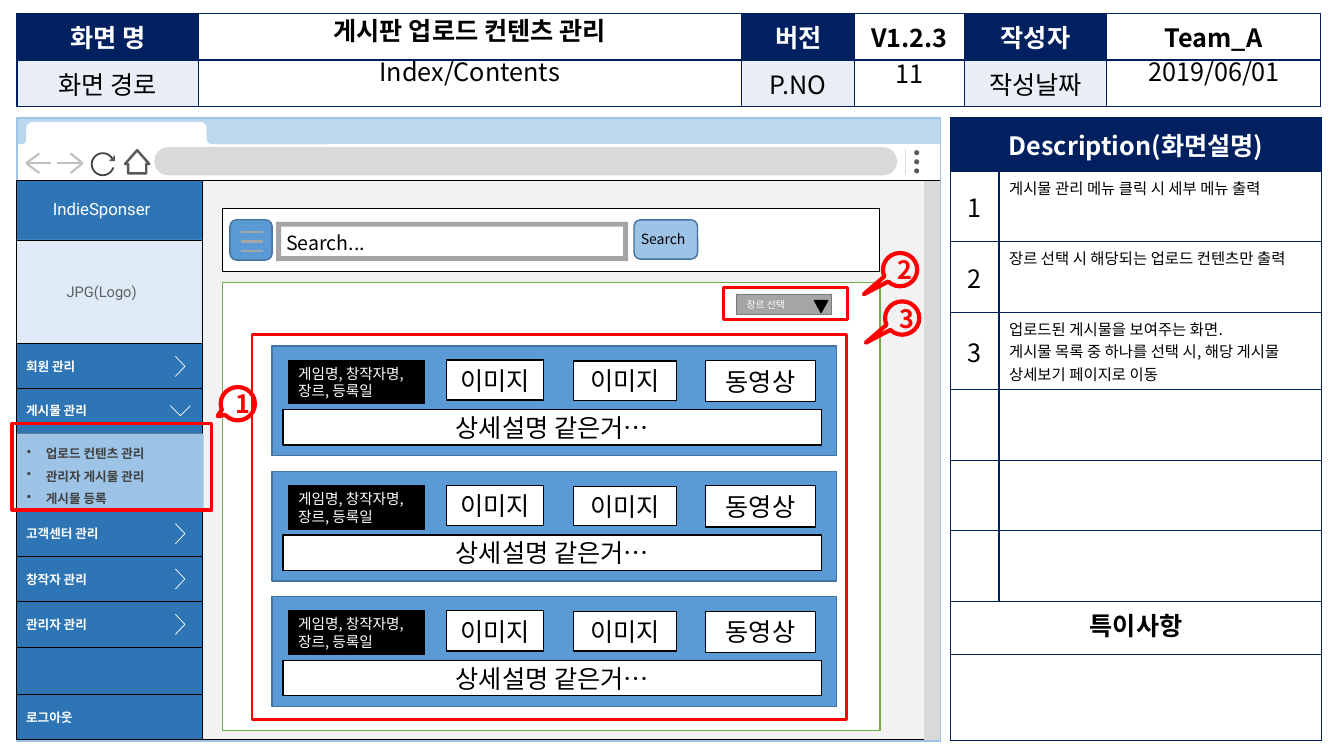
from dataclasses import dataclass, replace

from lxml import etree
from pptx import Presentation
from pptx.dml.color import RGBColor
from pptx.enum.shapes import MSO_CONNECTOR, MSO_SHAPE
from pptx.enum.text import MSO_ANCHOR, PP_ALIGN
from pptx.oxml.ns import qn
from pptx.shapes.autoshape import Shape
from pptx.slide import Slide
from pptx.table import Table, _Cell
from pptx.text.text import TextFrame
from pptx.util import Pt

LEFT, CENTER = PP_ALIGN.LEFT, PP_ALIGN.CENTER
TOP, MIDDLE = MSO_ANCHOR.TOP, MSO_ANCHOR.MIDDLE
RECTANGLE, ROUNDED, OVAL = MSO_SHAPE.RECTANGLE, MSO_SHAPE.ROUNDED_RECTANGLE, MSO_SHAPE.OVAL
TRIANGLE, DOWN_ARROW = MSO_SHAPE.ISOSCELES_TRIANGLE, MSO_SHAPE.DOWN_ARROW
FRAME, CALLOUT = MSO_SHAPE.FRAME, MSO_SHAPE.OVAL_CALLOUT
STRAIGHT = MSO_CONNECTOR.STRAIGHT
KOREAN_FONT, MENU_FONT = "Noto Sans CJK KR", "Roboto"

WHITE = RGBColor(0xFF, 0xFF, 0xFF)
BLACK = RGBColor(0x00, 0x00, 0x00)
RED = RGBColor(0xFF, 0x00, 0x00)
NAVY = RGBColor(0x00, 0x20, 0x60)
PALE_NAVY = RGBColor(0xEA, 0xEF, 0xF7)
PAGE_GRAY = RGBColor(0xF2, 0xF2, 0xF2)
BAR_GRAY = RGBColor(0xD9, 0xD9, 0xD9)
ARROW_GRAY = RGBColor(0xBF, 0xBF, 0xBF)
MID_GRAY = RGBColor(0xA5, 0xA5, 0xA5)
EDGE_GRAY = RGBColor(0x7A, 0x7A, 0x7A)
LOGO_GRAY = RGBColor(0x5F, 0x5F, 0x5F)
ICON_GRAY = RGBColor(0x59, 0x59, 0x59)
DARK_GRAY = RGBColor(0x40, 0x40, 0x40)
TITLE_BLUE = RGBColor(0xBD, 0xD7, 0xEE)
LIGHT_BLUE = RGBColor(0x9D, 0xC3, 0xE6)
LOGO_BLUE = RGBColor(0xDE, 0xEB, 0xF7)
MENU_BLUE = RGBColor(0x2E, 0x75, 0xB6)
CARD_BLUE = RGBColor(0x5B, 0x9B, 0xD5)
EDGE_BLUE = RGBColor(0x43, 0x73, 0x9E)
GREEN = RGBColor(0x70, 0xAD, 0x47)


@dataclass(frozen=True)
class TextStyle:
    size: float = 18
    color: RGBColor = BLACK
    bold: bool = False
    align: PP_ALIGN = CENTER
    anchor: MSO_ANCHOR = MIDDLE
    font: str = KOREAN_FONT
    insets: tuple[float, float, float, float] = (7.2, 3.6, 7.2, 3.6)
    spacing: float = 1.0
    bullet: bool = False


@dataclass(frozen=True)
class Part:
    """A preset shape: left, top, width, height, then its look and text."""
    box: tuple[float, float, float, float]
    fill: RGBColor | None = None
    line: RGBColor | None = None
    line_width: float = 1
    kind: MSO_SHAPE = RECTANGLE
    adjustments: tuple[float, ...] = ()
    rotation: float = 0
    text: str = ""
    style: TextStyle = TextStyle()


BODY = TextStyle()
HEADING = TextStyle(bold=True)
WHITE_HEADING = TextStyle(color=WHITE, bold=True)
TITLE = TextStyle(anchor=TOP, spacing=0.9)
NOTE = TextStyle(size=11, align=LEFT, anchor=TOP)
MARKER = TextStyle(color=RED, bold=True)
MENU = TextStyle(9, WHITE, True, LEFT, font=MENU_FONT, insets=(7.2, 3.6, 18, 3.6))
SUBMENU = replace(MENU, color=DARK_GRAY, spacing=1.5, bullet=True)
SITE_NAME = replace(MENU, size=12, bold=False, align=CENTER, anchor=TOP, insets=(7.2, 13, 18, 3.6))
LOGO = replace(MENU, size=10.5, color=LOGO_GRAY, bold=False, align=CENTER)
GAME_LABEL = TextStyle(10.5, WHITE, align=LEFT)

BROWSER = [
    Part((11.5, 128.2, 659.5, 400.3), PAGE_GRAY, BLACK, 0.5),
    Part((660.2, 128.9, 11.5, 399.6), BAR_GRAY),
    Part((12.2, 102.2, 659.5, 26.6), WHITE, BLACK, 0.5),
    Part((110.2, 105.1, 530.6, 20.2), BAR_GRAY, kind=ROUNDED, adjustments=(0.5,)),
    *[Part((653, 107.3 + 6.5 * i, 3.6, 3.6), ICON_GRAY, kind=OVAL) for i in range(3)],
    Part((12.2, 84.2, 659.5, 18.7), TITLE_BLUE),
    Part((65.5, 109.4, 15.8, 15.8), line=DARK_GRAY, line_width=1.25, kind=OVAL),
    Part((78.5, 113.8, 5.8, 5.8), WHITE),
    Part((77.8, 110.9, 4.3, 4.3), ICON_GRAY, kind=TRIANGLE, adjustments=(1,)),
    Part((89.3, 107.3, 17.3, 16.6), WHITE, ICON_GRAY, 1.75, DOWN_ARROW, (0.75, 0.59), 180),
    Part((18.7, 87.1, 128.9, 16.6), WHITE, kind=ROUNDED, adjustments=(0.28,)),
    Part((135.4, 93.6, 24.5, 10.8), WHITE, kind=ROUNDED, adjustments=(0.17,)),
    Part((147.6, 88.6, 91.4, 14.4), TITLE_BLUE, kind=ROUNDED, adjustments=(0.28,)),
    Part((15.1, 93.6, 9.4, 10.8), WHITE, kind=ROUNDED, adjustments=(0.17,)),
    Part((12.2, 88.6, 6.5, 14.4), TITLE_BLUE, kind=ROUNDED, adjustments=(0.46,)),
    Part((12.2, 84.2, 659.5, 445), line=LIGHT_BLUE),
]
MENU_HEIGHT = 32.4
MENU_ITEMS = [(245.5, "회원 관리"), (277.2, "게시물 관리"), (365, "고객센터 관리"),
              (397.4, "창작자 관리"), (429.8, "관리자 관리")]
OPEN_ITEM = "게시물 관리"
SIDEBAR = [
    Part((11.5, 128.9, 133.2, 399.6), MENU_BLUE, BLACK, 0.5, text="IndieSponser", style=SITE_NAME),
    Part((11.5, 171.4, 133.2, 74.2), LOGO_BLUE, BLACK, 0.5, text="JPG(Logo)", style=LOGO),
    *[Part((11.5, top, 133.2, MENU_HEIGHT), MENU_BLUE, BLACK, 0.5, text=label, style=MENU)
      for top, label in [*MENU_ITEMS, (496.1, "로그아웃")]],
    Part((12.2, 309.6, 133.2, 55.4), LIGHT_BLUE,
         text="업로드 컨텐츠 관리\n관리자 게시물 관리\n게시물 등록", style=SUBMENU),
]
HEADER_VALUES = [
    Part((141.8, 10.1, 387.4, 27.4), text="게시판 업로드 컨텐츠 관리", style=replace(TITLE, bold=True)),
    Part((141.8, 38.9, 387.4, 27.4), text="Index/Contents", style=TITLE),
    Part((791.3, 38.9, 151.9, 27.4), text="2019/06/01", style=TITLE),
    Part((610.6, 38.9, 77.8, 27.4), text="11"),
]
SEARCH = [
    Part((8.6, 302.4, 142.6, 61.9), line=RED, line_width=2.25),
    Part((159.1, 149, 469.4, 44.6), WHITE, BLACK, 0.5),
    Part((159.1, 201.6, 469.4, 320.4), WHITE, GREEN),
    Part((164.2, 157, 30.2, 28.8), CARD_BLUE, EDGE_BLUE, kind=ROUNDED),
    Part((197.3, 158.4, 251.3, 28.1), MID_GRAY, kind=FRAME, adjustments=(0.125,)),
    Part((197.3, 161.3, 79.9, 24.5), text="Search...", style=TextStyle(14, align=LEFT, anchor=TOP)),
    Part((452.9, 157, 45.4, 28.1), LIGHT_BLUE, EDGE_BLUE, kind=ROUNDED),
    Part((450.7, 161.3, 54.7, 19.4), text="Search", style=TextStyle(10, align=LEFT, anchor=TOP)),
]
CARD_TOPS = [247 + 89.6 * i for i in range(3)]
FILTER = [
    Part((526.3, 210.2, 67.7, 14.4), MID_GRAY, EDGE_GRAY, text="장르 선택",
         style=TextStyle(7, WHITE, align=LEFT)),
    Part((581.8, 214.6, 9.4, 8.6), BLACK, BLACK, kind=TRIANGLE, rotation=180),
    Part((517, 205.2, 88.6, 23), line=RED, line_width=2),
    Part((180, 239, 424.8, 275), line=RED, line_width=2),
]
MARKERS = [
    Part((left, top, 24.5, 23.8), None, RED, 3, CALLOUT, tail, text=number, style=MARKER)
    for number, left, top, tail in [("1", 157.7, 276.5, (-0.59, 0.37)),
                                    ("2", 630.7, 180.7, (-1.06, 0.74)),
                                    ("3", 632.2, 215.3, (-1.06, 0.74))]
]
HEADER_ROWS = [
    [("화면 명", NAVY), ("", WHITE), ("버전", NAVY), ("V1.2.3", WHITE), ("작성자", NAVY), ("Team_A", WHITE)],
    [("화면 경로", PALE_NAVY), ("", WHITE), ("P.NO", PALE_NAVY), ("", WHITE), ("작성날짜", PALE_NAVY), ("", WHITE)],
]
DESCRIPTIONS = [
    "게시물 관리 메뉴 클릭 시 세부 메뉴 출력",
    "장르 선택 시 해당되는 업로드 컨텐츠만 출력",
    "업로드된 게시물을 보여주는 화면.\n게시물 목록 중 하나를 선택 시, 해당 게시물 상세보기 페이지로 이동",
]


def write_text(frame: TextFrame, text: str, style: TextStyle) -> None:
    frame.text = text
    for paragraph in frame.paragraphs:
        paragraph.alignment = style.align
        if style.spacing != 1:
            paragraph.line_spacing = style.spacing
        font = paragraph.font
        font.size, font.bold, font.name = Pt(style.size), style.bold, style.font
        font.color.rgb = style.color
        properties = paragraph._p.get_or_add_pPr()
        defaults = properties.find(qn("a:defRPr"))
        etree.SubElement(defaults, qn("a:ea"), typeface=KOREAN_FONT)
        if style.bullet:
            properties.set("marL", str(Pt(13.5)))
            properties.set("indent", str(Pt(-13.5)))
            bullet = etree.Element(qn("a:buChar"), char="•")
            defaults.addprevious(bullet)


def draw_part(slide: Slide, part: Part) -> None:
    box = [Pt(value) for value in part.box]
    if part.fill is None and part.line is None:
        shape: Shape = slide.shapes.add_textbox(*box)
    else:
        shape = slide.shapes.add_shape(part.kind, *box)
        shape.shadow.inherit = False
        shape.rotation = part.rotation
        for index, value in enumerate(part.adjustments):
            shape.adjustments[index] = value
        if part.fill is None:
            shape.fill.background()
        else:
            shape.fill.solid()
            shape.fill.fore_color.rgb = part.fill
        if part.line is None:
            shape.line.fill.background()
        else:
            shape.line.color.rgb = part.line
            shape.line.width = Pt(part.line_width)
    if part.text:
        frame = shape.text_frame
        frame.word_wrap = True
        frame.vertical_anchor = part.style.anchor
        (frame.margin_left, frame.margin_top,
         frame.margin_right, frame.margin_bottom) = map(Pt, part.style.insets)
        write_text(frame, part.text, part.style)


def draw_parts(slide: Slide, parts: list[Part]) -> None:
    for part in parts:
        draw_part(slide, part)


def draw_line(slide: Slide, start: tuple[float, float], end: tuple[float, float],
              color: RGBColor, width: float = 1.5) -> None:
    connector = slide.shapes.add_connector(STRAIGHT, *map(Pt, (*start, *end)))
    connector.line.color.rgb = color
    connector.line.width = Pt(width)
    etree.SubElement(connector._element.spPr, qn("a:effectLst"))


def draw_browser_arrow(slide: Slide, tip: float, tail: float, barb: float) -> None:
    for end in [(tail, 116.6), (barb, 109.6), (barb, 123.6)]:
        draw_line(slide, (tip, 116.6), end, ARROW_GRAY)


def draw_chevron(slide: Slide, middle: float, is_open: bool) -> None:
    if is_open:
        points = [(121.7, middle - 3.6), (128.9, middle + 3.6), (136.1, middle - 3.6)]
    else:
        points = [(125.3, middle - 7.2), (132.1, middle), (125.3, middle + 7.2)]
    start, *rest = [(Pt(x), Pt(y)) for x, y in points]
    builder = slide.shapes.build_freeform(*start)
    builder.add_line_segments(rest, close=False)
    shape = builder.convert_to_shape()
    shape.shadow.inherit = False
    shape.fill.background()
    shape.line.color.rgb = WHITE
    shape.line.width = Pt(0.5)


def card_parts(top: float) -> list[Part]:
    return [
        Part((194.4, top, 403.2, 78.5), CARD_BLUE, EDGE_BLUE),
        Part((205.9, top + 10.4, 97.2, 31), BLACK, BLACK, text="게임명, 창작자명,\n장르, 등록일", style=GAME_LABEL),
        Part((319, top + 10.1, 69.1, 28.8), WHITE, BLACK, text="이미지"),
        Part((409.7, top + 10.8, 73.4, 28.1), WHITE, BLACK, text="이미지"),
        Part((504, top + 10.4, 78.5, 29.5), WHITE, BLACK, text="동영상"),
        Part((202.3, top + 45.6, 384.5, 25.2), WHITE, BLACK, text="상세설명 같은거…"),
    ]


def add_grid(slide: Slide, left: float, top: float, widths: list[float], heights: list[float]) -> Table:
    """Add an unstyled table whose cells all have navy borders."""
    table = slide.shapes.add_table(len(heights), len(widths), Pt(left), Pt(top),
                                   Pt(sum(widths)), Pt(sum(heights))).table
    table.first_row = table.horz_banding = False
    for column, width in zip(table.columns, widths):
        column.width = Pt(width)
    for row, height in zip(table.rows, heights):
        row.height = Pt(height)
    for cell in table.iter_cells():
        properties = cell._tc.get_or_add_tcPr()
        for side in ("lnL", "lnR", "lnT", "lnB"):
            border = etree.SubElement(properties, qn(f"a:{side}"), w=str(Pt(1)))
            fill = etree.SubElement(border, qn("a:solidFill"))
            etree.SubElement(fill, qn("a:srgbClr"), val=str(NAVY))
        cell.fill.background()
    return table


def fill_cell(cell: _Cell, text: str, style: TextStyle, fill: RGBColor | None = None) -> None:
    if fill is not None:
        cell.fill.solid()
        cell.fill.fore_color.rgb = fill
    cell.vertical_anchor = style.anchor
    if text:
        write_text(cell.text_frame, text, style)


def draw_header(slide: Slide) -> None:
    table = add_grid(slide, 12.2, 9.4, [129.6, 388.1, 80.6, 78.5, 101.5, 152.6], [33.4, 33.4])
    for row_index, row in enumerate(HEADER_ROWS):
        for column_index, (text, fill) in enumerate(row):
            style = WHITE_HEADING if fill == NAVY else HEADING if row_index == 0 else BODY
            fill_cell(table.cell(row_index, column_index), text, style, fill)


def draw_description(slide: Slide) -> None:
    table = add_grid(slide, 679, 84.2, [34.6, 230.4],
                     [38.2, 50.4, 50.4, 53.6, 50.4, 50.4, 50.4, 38.2, 61.2])
    for row_index in (0, 7, 8):
        table.cell(row_index, 0).merge(table.cell(row_index, 1))
    fill_cell(table.cell(0, 0), "Description(화면설명)", WHITE_HEADING, NAVY)
    fill_cell(table.cell(7, 0), "특이사항", replace(HEADING, anchor=TOP))
    for number, description in enumerate(DESCRIPTIONS, start=1):
        fill_cell(table.cell(number, 0), str(number), BODY)
        fill_cell(table.cell(number, 1), description, NOTE)


def main() -> None:
    presentation = Presentation()
    presentation.slide_width, presentation.slide_height = Pt(960), Pt(540)
    slide = presentation.slides.add_slide(presentation.slide_layouts[6])
    draw_parts(slide, BROWSER)
    draw_line(slide, (646.6, 106.6), (646.6, 124.6), BAR_GRAY, 1)
    draw_browser_arrow(slide, 18.7, 36.7, 28.1)
    draw_browser_arrow(slide, 59, 41, 50.4)
    draw_header(slide)
    draw_parts(slide, SIDEBAR)
    for top, label in MENU_ITEMS:
        draw_chevron(slide, top + MENU_HEIGHT / 2, label == OPEN_ITEM)
    draw_description(slide)
    draw_parts(slide, HEADER_VALUES + SEARCH)
    for index in range(3):
        y = 165.6 + 6.9 * index
        draw_line(slide, (172.1, y), (187.9, y), MID_GRAY)
    for top in CARD_TOPS:
        draw_parts(slide, card_parts(top))
    draw_parts(slide, FILTER + MARKERS)
    presentation.save("out.pptx")


if __name__ == "__main__":
    main()
